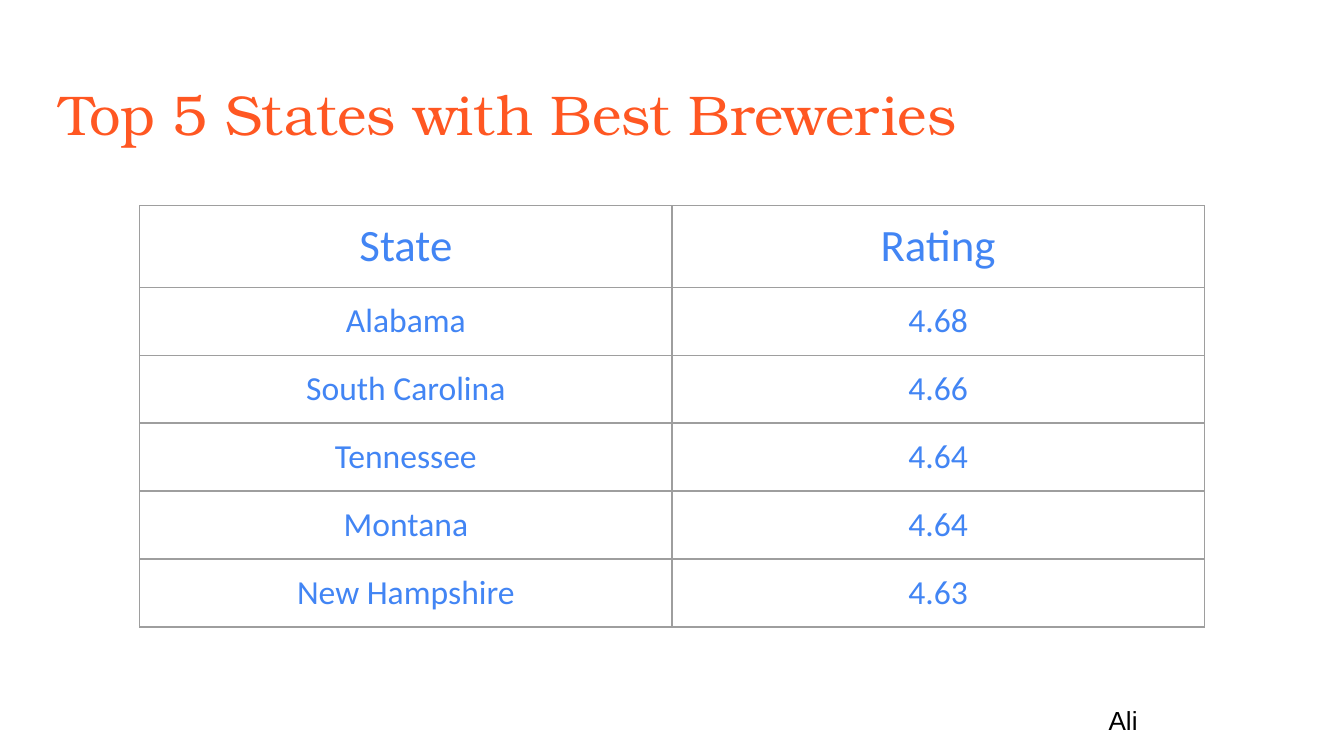
from dataclasses import dataclass

from lxml import etree
from pptx import Presentation
from pptx import util as u
from pptx.dml import color
from pptx.enum import text
from pptx.oxml import ns

ORANGE, BLUE, BLACK, GREY = "FF5722", "4285F4", "000000", "9E9E9E"
SLIDE_WIDTH = u.Inches(10)
SLIDE_HEIGHT = SLIDE_WIDTH * 9 // 16
MARGIN = u.Inches(0.1)
ROW_HEIGHT = u.Inches(0.42)


@dataclass
class Row:
    """One line of the ratings table."""
    state: str
    rating: str
    size: int = 18


ROWS = [
    Row("State", "Rating", 24),
    Row("Alabama", "4.68"),
    Row("South Carolina", "4.66"),
    Row("Tennessee", "4.64"),
    Row("Montana", "4.64"),
    Row("New Hampshire", "4.63"),
]


def rgb(value: str) -> color.RGBColor:
    """Turn a hex string into a colour."""
    return color.RGBColor.from_string(value)


def write_text(frame, content: str, *, font: str, size: float, fill: str,
               align=text.PP_ALIGN.LEFT) -> None:
    """Write one formatted paragraph into a text frame."""
    paragraph = frame.paragraphs[0]
    paragraph.alignment = align
    run = paragraph.add_run()
    run.text = content
    run.font.name = font
    run.font.size = u.Pt(size)
    run.font.color.rgb = rgb(fill)


def prepare_frame(frame) -> None:
    """Give a text frame equal margins, wrapping and a top anchor."""
    frame.margin_left = frame.margin_right = MARGIN
    frame.margin_top = frame.margin_bottom = MARGIN
    frame.word_wrap = True
    frame.auto_size = text.MSO_AUTO_SIZE.NONE
    frame.vertical_anchor = text.MSO_ANCHOR.TOP


def set_borders(cell, fill: str, width: float) -> None:
    """Draw a solid line on all four sides of a cell."""
    properties = cell._tc.get_or_add_tcPr()
    for index, side in enumerate(("lnL", "lnR", "lnT", "lnB")):
        line = etree.Element(ns.qn(f"a:{side}"), w=str(u.Pt(width)))
        solid = etree.SubElement(line, ns.qn("a:solidFill"))
        etree.SubElement(solid, ns.qn("a:srgbClr"), val=fill)
        properties.insert(index, line)


def format_cell(cell, content: str, size: float) -> None:
    """Fill in one table cell."""
    cell.margin_left = cell.margin_right = MARGIN
    cell.margin_top = cell.margin_bottom = MARGIN
    cell.fill.background()
    set_borders(cell, GREY, 0.75)
    write_text(cell.text_frame, content, font="Calibri", size=size,
               fill=BLUE, align=text.PP_ALIGN.CENTER)


def add_ratings(slide, rows: list[Row]) -> None:
    """Add the table of states and ratings."""
    table = slide.shapes.add_table(
        len(rows), 2, u.Inches(1.04), u.Inches(1.53),
        u.Inches(7.92), ROW_HEIGHT * len(rows)).table
    table.first_row = table.horz_banding = False
    for index, row in enumerate(rows):
        table.rows[index].height = ROW_HEIGHT
        for column, content in enumerate((row.state, row.rating)):
            format_cell(table.cell(index, column), content, row.size)


def main() -> None:
    """Build the slide and save it."""
    presentation = Presentation()
    presentation.slide_width = SLIDE_WIDTH
    presentation.slide_height = SLIDE_HEIGHT
    slide = presentation.slides.add_slide(presentation.slide_layouts[5])

    title = slide.shapes.title
    title.left, title.top = u.Inches(0.34), u.Inches(0.49)
    title.width, title.height = u.Inches(9.32), u.Inches(0.63)
    prepare_frame(title.text_frame)
    write_text(title.text_frame, "Top 5 States with Best Breweries",
               font="TeX Gyre Bonum", size=30, fill=ORANGE)

    add_ratings(slide, ROWS)

    presenter = slide.shapes.add_textbox(
        u.Inches(8.15), u.Inches(5.14), u.Inches(1.34), u.Inches(0.38))
    prepare_frame(presenter.text_frame)
    write_text(presenter.text_frame, "Ali", font="Arial", size=14, fill=BLACK)

    presentation.save("out.pptx")


main()
